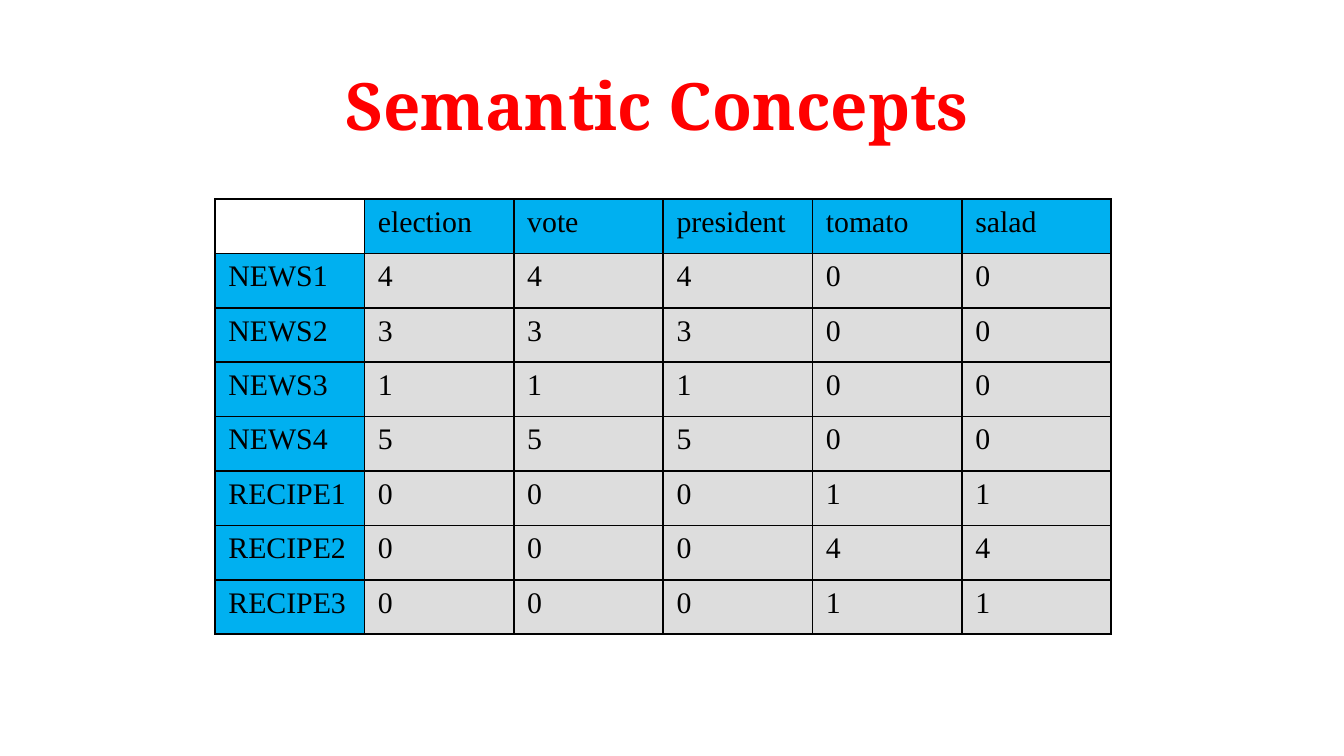
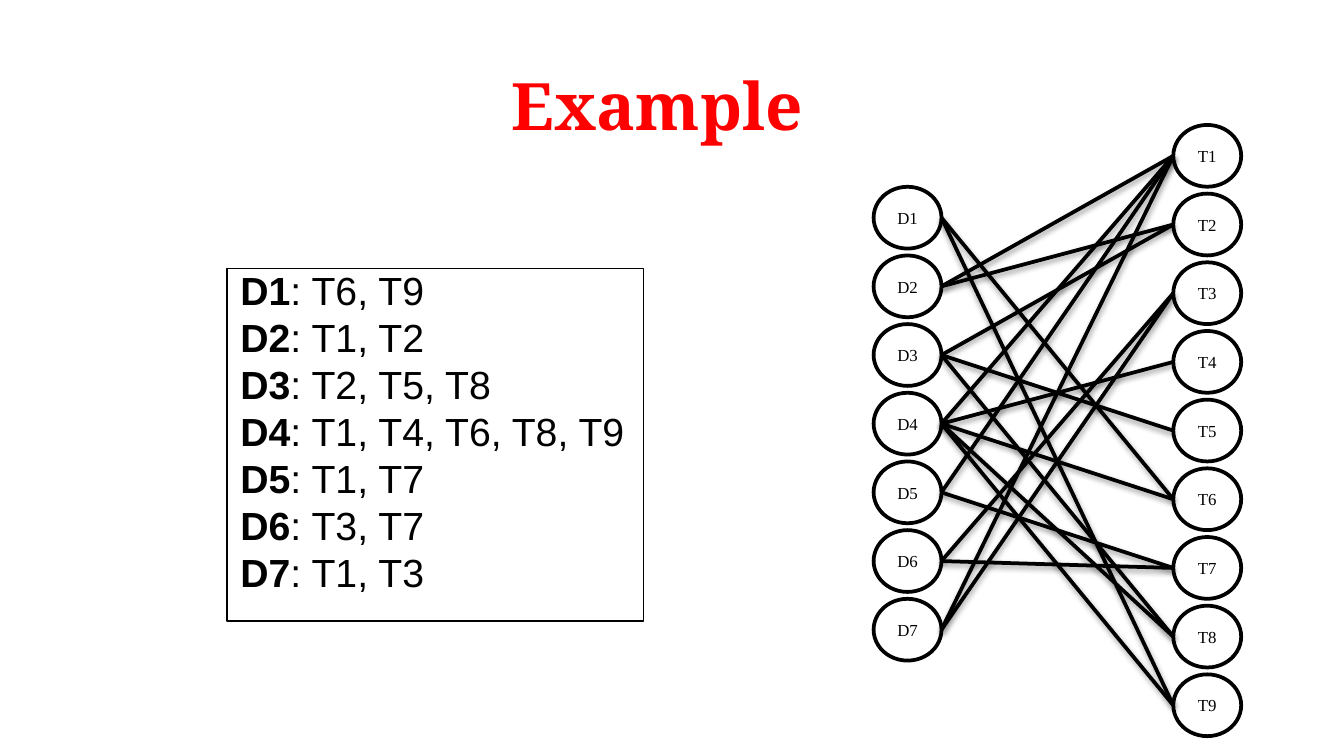
from lxml import etree
from pptx import Presentation
from pptx.dml.color import RGBColor
from pptx.enum.shapes import MSO_CONNECTOR, MSO_SHAPE
from pptx.enum.text import MSO_ANCHOR, MSO_AUTO_SIZE, PP_ALIGN
from pptx.oxml import parse_xml
from pptx.oxml.ns import nsdecls, qn
from pptx.util import Inches, Pt

CENTER, LEFT = PP_ALIGN.CENTER, PP_ALIGN.LEFT
MIDDLE, TOP = MSO_ANCHOR.MIDDLE, MSO_ANCHOR.TOP
NO_FIT = MSO_AUTO_SIZE.NONE
OVAL = MSO_SHAPE.OVAL
RECTANGLE = MSO_SHAPE.RECTANGLE
STRAIGHT = MSO_CONNECTOR.STRAIGHT
TITLE_ONLY = 5

COLUMNS, ROWS = 100, 56.25
BLACK, RED, BLUE, GREY = "000000", "FF0000", "00B0F0", "DDDDDD"

TERMS = ["election", "vote", "president", "tomato", "salad"]
COUNTS = {
    "NEWS1": [4, 4, 4, 0, 0],
    "NEWS2": [3, 3, 3, 0, 0],
    "NEWS3": [1, 1, 1, 0, 0],
    "NEWS4": [5, 5, 5, 0, 0],
    "RECIPE1": [0, 0, 0, 1, 1],
    "RECIPE2": [0, 0, 0, 4, 4],
    "RECIPE3": [0, 0, 0, 1, 1],
}
LINKS = {
    "D1": ["T6", "T9"],
    "D2": ["T1", "T2"],
    "D3": ["T2", "T5", "T8"],
    "D4": ["T1", "T4", "T6", "T8", "T9"],
    "D5": ["T1", "T7"],
    "D6": ["T3", "T7"],
    "D7": ["T1", "T3"],
}
TOPICS = [f"T{number}" for number in range(1, 10)]


def color(value):
    """Turn a hex string into a colour."""
    return RGBColor.from_string(value)


class Slides:
    """Hold the deck, its style and the page being filled."""

    def __init__(self):
        """Open a wide deck and measure its grid."""
        self.deck = Presentation()
        self.deck.slide_width = Inches(10)
        self.deck.slide_height = Inches(5.625)
        self.column = self.deck.slide_width / COLUMNS
        self.row = self.deck.slide_height / ROWS

    def place(self, left, top, width, height):
        """Turn grid columns and rows into slide lengths."""
        return (round(left * self.column), round(top * self.row),
                round(width * self.column), round(height * self.row))

    def add_text(self, para, text, size, font, ink=BLACK, bold=False):
        """Add one styled run to a paragraph."""
        span = para.add_run()
        span.text = text
        span.font.size = Pt(size)
        span.font.name = font
        span.font.bold = bold
        span.font.color.rgb = color(ink)

    def start(self, title):
        """Add a page with its title."""
        self.page = self.deck.slides.add_slide(self.deck.slide_layouts[TITLE_ONLY])
        box = self.page.shapes.title
        box.left, box.top, box.width, box.height = self.place(2.8, 4.3, 92.2, 7.7)
        frame = box.text_frame
        frame.auto_size = NO_FIT
        frame.vertical_anchor = MIDDLE
        para = frame.paragraphs[0]
        para.alignment = CENTER
        para.line_spacing = 0.9
        self.add_text(para, title, 35, "Noto Serif", RED, True)

    def outline(self, kind, area, weight):
        """Add an unfilled shape with a black outline."""
        shape = self.page.shapes.add_shape(kind, *self.place(*area))
        shape.shadow.inherit = False
        shape.fill.background()
        shape.line.color.rgb = color(BLACK)
        shape.line.width = Pt(weight)
        return shape

    def border(self, cell):
        """Draw thin black lines on all sides of a cell."""
        properties = cell._tc.get_or_add_tcPr()
        for index, side in enumerate(("lnL", "lnR", "lnT", "lnB")):
            properties.insert(index, parse_xml(
                f'<a:{side} {nsdecls("a")} w="{Pt(1)}"><a:solidFill>'
                f'<a:srgbClr val="{BLACK}"/></a:solidFill></a:{side}>'))

    def table(self, area, terms, counts):
        """Add a grid of counts with coloured headings."""
        lines = [["", *terms]] + [[name, *values] for name, values in counts.items()]
        frame = self.page.shapes.add_table(len(lines), len(lines[0]), *self.place(*area))
        grid = frame.table
        grid.first_row = grid.horz_banding = False
        for down, line in enumerate(lines):
            for across, value in enumerate(line):
                cell = grid.cell(down, across)
                if value == "":
                    cell.fill.background()
                else:
                    cell.fill.solid()
                    heading = down == 0 or across == 0
                    cell.fill.fore_color.rgb = color(BLUE if heading else GREY)
                    self.add_text(cell.text_frame.paragraphs[0], str(value), 16, "Times New Roman")
                self.border(cell)

    def listing(self, area, links):
        """Add a framed list of documents and their topics."""
        frame = self.outline(RECTANGLE, area, 0.75).text_frame
        frame.word_wrap = True
        frame.vertical_anchor = TOP
        for index, (document, topics) in enumerate(links.items()):
            para = frame.add_paragraph() if index else frame.paragraphs[0]
            para.alignment = LEFT
            para.line_spacing = 0.8
            para.space_before = Pt(5)
            self.add_text(para, document, 21, "Arial", bold=True)
            self.add_text(para, ": " + ", ".join(topics), 21, "Arial")

    def nodes(self, names, left, top, step=5.11):
        """Add a column of labelled circles and return them by name."""
        circles = {}
        for index, name in enumerate(names):
            circle = self.outline(OVAL, (left, top + index * step, 5.05, 4.6), 2)
            frame = circle.text_frame
            frame.word_wrap = False
            frame.vertical_anchor = MIDDLE
            frame.margin_left = frame.margin_right = 0
            para = frame.paragraphs[0]
            para.alignment = CENTER
            self.add_text(para, name, 9, "Times New Roman")
            circles[name] = circle
        return circles

    def link(self, source, target):
        """Join the right side of one circle to the left side of another."""
        line = self.page.shapes.add_connector(
            STRAIGHT, source.left + source.width, source.top + source.height // 2,
            target.left, target.top + target.height // 2)
        line.line.color.rgb = color(BLACK)
        line.line.width = Pt(2)
        effects = etree.SubElement(line._element.spPr, qn("a:effectLst"))
        shadow = etree.SubElement(effects, qn("a:outerShdw"), blurRad="40000",
                                  dist="20000", dir="5400000", rotWithShape="0")
        ink = etree.SubElement(shadow, qn("a:srgbClr"), val=BLACK)
        etree.SubElement(ink, qn("a:alpha"), val="38000")


slides = Slides()

slides.start("Semantic Concepts")
slides.table((16, 14.8, 66.7, 32.4), TERMS, COUNTS)

slides.start("Example")
slides.listing((16.9, 20, 31, 26.2), LINKS)
documents = slides.nodes(LINKS, 65, 13.9)
topics = slides.nodes(TOPICS, 87.3, 9.3)
for document, linked in LINKS.items():
    for topic in linked:
        slides.link(documents[document], topics[topic])

slides.deck.save("out.pptx")
